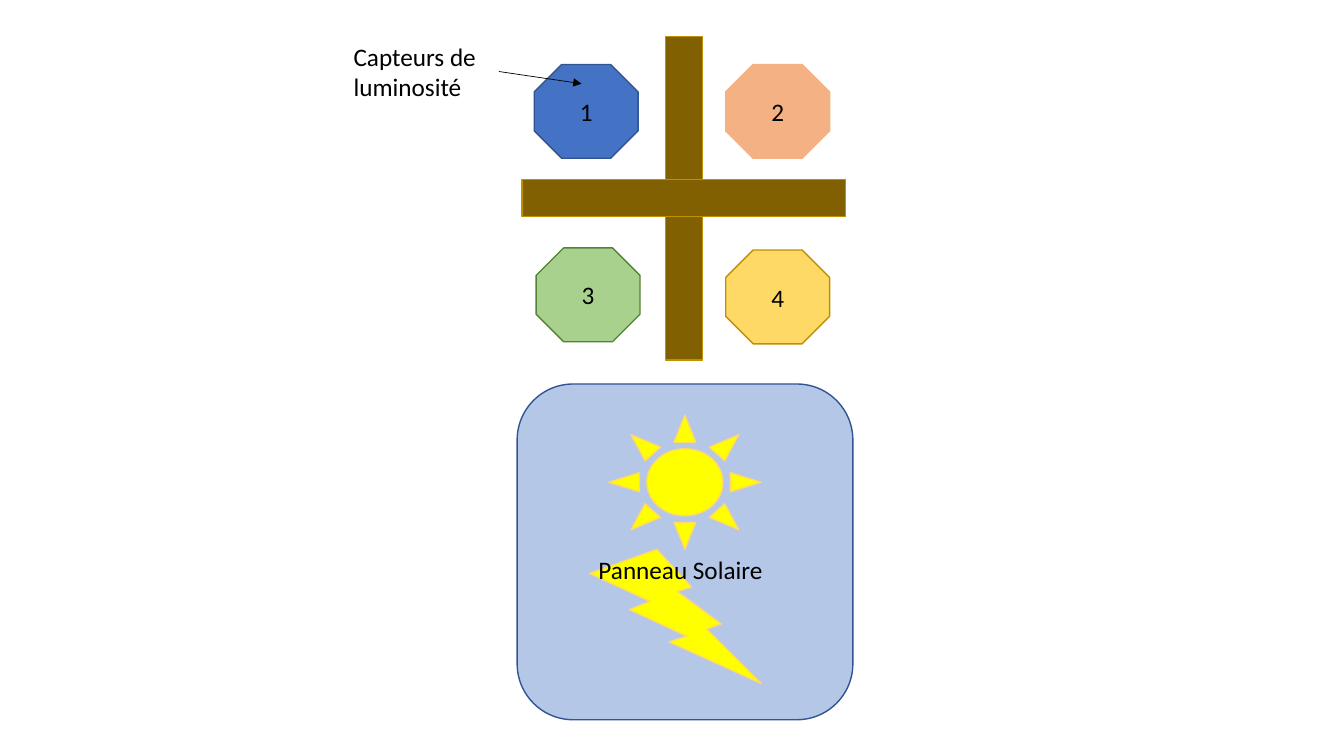
from lxml import etree
from pptx import Presentation
from pptx import util as u
from pptx.dml.color import RGBColor
from pptx.enum import shapes, text
from pptx.oxml import ns

Kind = shapes.MSO_SHAPE
Align = text.PP_ALIGN

THEME = {
    "font": "Calibri", "size": 18, "outline": 1, "arrow": 0.5,
    "ink": "000000", "blue": "4472C4", "navy": "325491", "sky": "B4C7E7",
    "green": "A9D18E", "forest": "548235", "gold": "FFD966", "amber": "BF9000",
    "peach": "F4B183", "brown": "806000", "yellow": "FFFF00",
}

PANEL = [
    (Kind.FLOWCHART_ALTERNATE_PROCESS, (369.4, 274.3, 239.8, 239.8), "sky", "navy"),
    (Kind.SUN, (434.9, 296.6, 108.7, 95.8), "yellow", "gold"),
    (Kind.LIGHTNING_BOLT, (421.2, 392.4, 122.4, 95.8), "yellow", "gold"),
]
CROSS_BAR = (475.2, 25.9, 26.6, 231.1)
CROSS_ANGLES = [0, 90]
SENSOR_SIZE = (74.2, 67)
SENSORS = [
    ("1", (381.6, 46.1), "blue", "navy"),
    ("3", (383, 177.1), "green", "forest"),
    ("4", (518.4, 178.6), "gold", "amber"),
    ("2", (518.4, 46.1), "peach", "peach"),
]
PANEL_LABEL = ("Panneau Solaire ", (389.5, 392.4, 197.3, 28.8), Align.CENTER)
SENSOR_LABEL = ("Capteurs de luminosité", (245.5, 25.9, 110.2, 51.1), Align.LEFT)
ARROW = (356.4, 51.1, 415.4, 59.8)


def points(values):
    return [u.Pt(value) for value in values]


def color(name):
    return RGBColor.from_string(THEME[name])


def write(shape, words, align):
    frame = shape.text_frame
    frame.word_wrap = True
    frame.text = words
    para = frame.paragraphs[0]
    para.alignment = align
    font = para.runs[0].font
    font.name = THEME["font"]
    font.size = u.Pt(THEME["size"])
    font.color.rgb = color("ink")


def add_shape(page, kind, frame, fill, line):
    shape = page.shapes.add_shape(kind, *points(frame))
    shape.shadow.inherit = False
    shape.fill.solid()
    shape.fill.fore_color.rgb = color(fill)
    shape.line.color.rgb = color(line)
    shape.line.width = u.Pt(THEME["outline"])
    return shape


def add_label(page, words, frame, align):
    box = page.shapes.add_textbox(*points(frame))
    write(box, words, align)
    box.text_frame.auto_size = text.MSO_AUTO_SIZE.SHAPE_TO_FIT_TEXT


def add_arrow(page, ends):
    arrow = page.shapes.add_connector(shapes.MSO_CONNECTOR.STRAIGHT, *points(ends))
    arrow.line.color.rgb = color("ink")
    arrow.line.width = u.Pt(THEME["arrow"])
    outline = arrow.line._get_or_add_ln()
    etree.SubElement(outline, ns.qn("a:tailEnd"), type="triangle")
    etree.SubElement(outline.getparent(), ns.qn("a:effectLst"))


def main():
    deck = Presentation()
    deck.slide_width, deck.slide_height = points((960, 540))
    page = deck.slides.add_slide(deck.slide_layouts[6])
    for part in PANEL:
        add_shape(page, *part)
    add_label(page, *PANEL_LABEL)
    for angle in CROSS_ANGLES:
        bar = add_shape(page, Kind.FLOWCHART_PROCESS, CROSS_BAR, "brown", "amber")
        bar.rotation = angle
    for number, corner, fill, line in SENSORS:
        sensor = add_shape(page, Kind.OCTAGON, corner + SENSOR_SIZE, fill, line)
        write(sensor, number, Align.CENTER)
        sensor.text_frame.vertical_anchor = text.MSO_ANCHOR.MIDDLE
    add_label(page, *SENSOR_LABEL)
    add_arrow(page, ARROW)
    deck.save("out.pptx")


if __name__ == "__main__":
    main()
